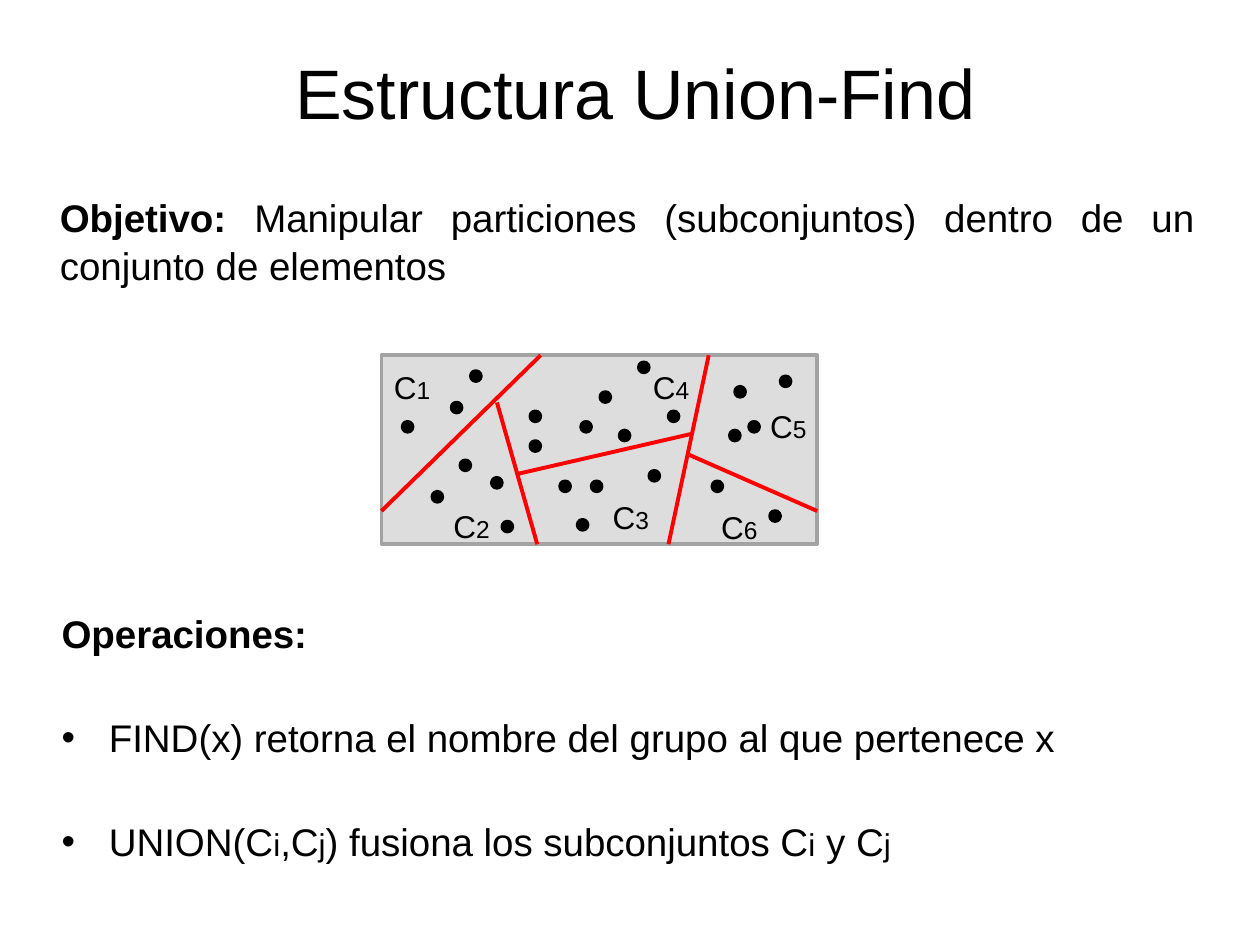
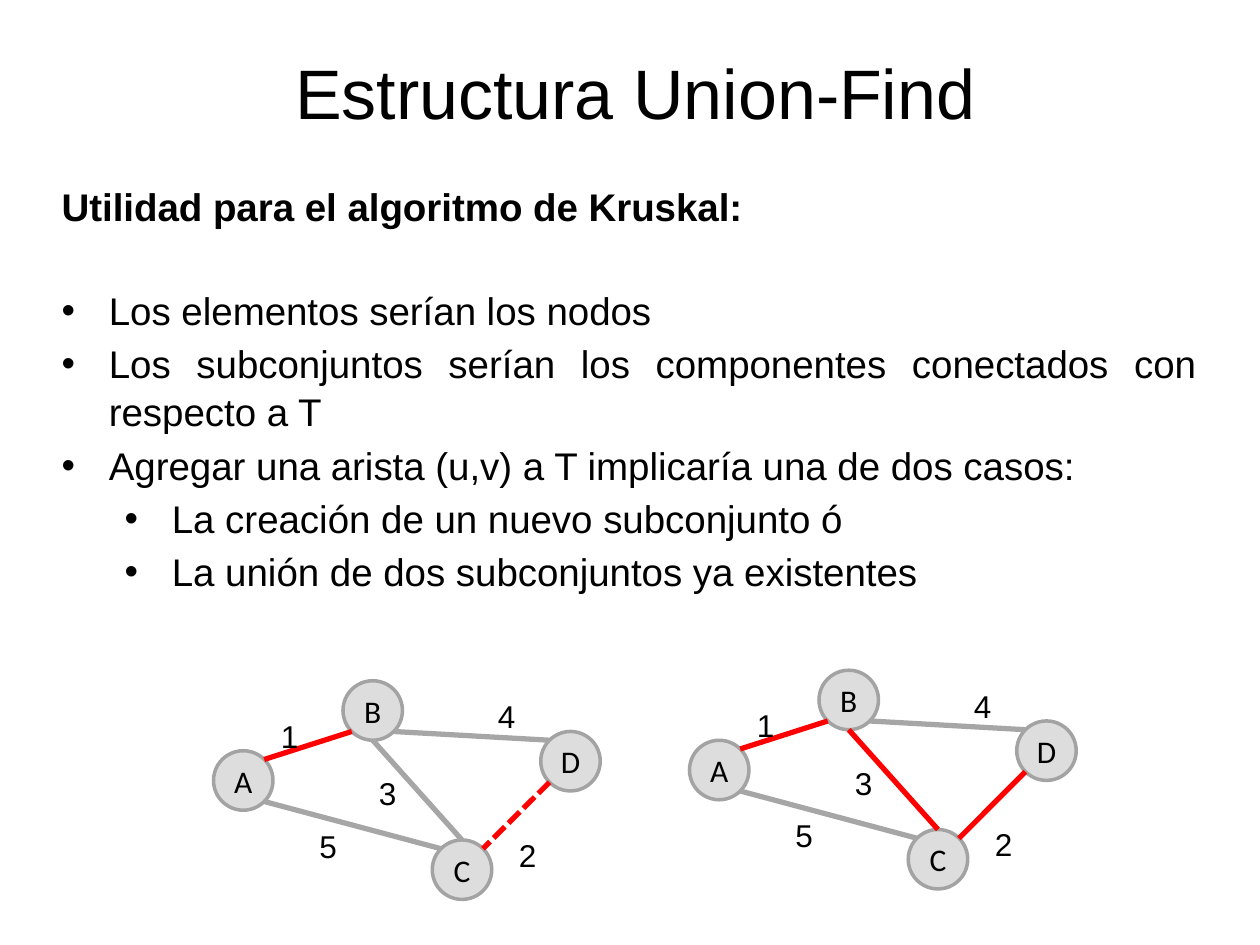
from dataclasses import dataclass

from lxml import etree
from pptx import Presentation
from pptx import util as u
from pptx.dml import color
from pptx.enum import dml, shapes, text
from pptx.oxml import ns


def rgb(value):
    """Return a colour from its hexadecimal value."""
    return color.RGBColor.from_string(value)


@dataclass(frozen=True)
class Theme:
    """Colours, fonts and sizes (points) shared by the slides."""
    ink = rgb("000000")
    panel = rgb("DDDDDD")
    border = rgb("A3A3A3")
    edge = rgb("A6A6A6")
    accent = rgb("FF0000")
    font = "Arial"
    node_font = "Calibri"
    title = 40
    body = 22
    body_index = 18
    label = 18
    label_index = 14
    outline = 2
    divider = 2.25
    edge_width = 3
    indent = 27
    level_step = 36
    line_spacing = 1.04
    gap = 3
    wide_gap = 32


THEME = Theme()
TITLE = "Estructura Union-Find"
TITLE_BOX = (37, 20, 652, 60)

# Each subset: label position, then the positions of its elements.
SUBSETS = {
    "1": ((0, 4), [(51, 9), (12, 38), (40, 27)]),
    "2": ((34, 83), [(45, 60), (63, 70), (29, 78), (69, 95)]),
    "3": ((125, 78), [(120, 72), (102, 72), (153, 66), (112, 94)]),
    "4": ((148, 4), [(125, 21), (85, 49), (114, 38), (85, 32), (147, 4),
                     (136, 43), (164, 32)]),
    "5": ((215, 26), [(199, 43), (202, 18), (210, 38), (228, 12)]),
    "6": ((187, 84), [(189, 72), (222, 89)]),
}
DIVIDERS = [((91, 0), (0, 89)), ((66, 27), (89, 108)), ((177, 45), (77, 68)),
            ((187, 0), (164, 108)), ((176, 57), (249, 89))]
DOT = 5.8

NODE = 34
NODES = {"A": (0, 40), "B": (74, 0), "C": (125, 91), "D": (187, 29)}
# Offset of each port from the top left corner of a node.
PORTS = {"N": (17, 0), "S": (17, 34), "NW": (5, 5), "NE": (29, 5),
         "SW": (5, 29), "SE": (29, 29)}
# Each edge by weight: its two ends (node, port) and its label position.
EDGES = {
    "1": (("A", "NE"), ("B", "SW"), (30, 17)),
    "2": (("D", "SW"), ("C", "NE"), (166, 85)),
    "3": (("B", "S"), ("C", "N"), (86, 50)),
    "4": (("B", "SE"), ("D", "NW"), (154, 6)),
    "5": (("C", "NW"), ("A", "SE"), (52, 80)),
}


def apply(target, formats):
    """Set each named attribute of the target."""
    for name, value in formats.items():
        setattr(target, name, value)


def points(*values):
    """Convert numbers of points to lengths."""
    return [u.Pt(value) for value in values]


def shift(origin, offset):
    """Add an offset to an origin."""
    return origin[0] + offset[0], origin[1] + offset[1]


def add_span(para, words, size, bold=False, font=THEME.font):
    """Add one formatted run to a paragraph."""
    span = para.add_run()
    span.text = words
    apply(span.font, {"name": font, "size": u.Pt(size), "bold": bold})
    span.font.color.rgb = THEME.ink


def add_label(parent, place, size, spans, align=text.PP_ALIGN.LEFT):
    """Add a small text box made of (words, size) spans."""
    box = parent.add_textbox(*points(*place, *size))
    box.text_frame.word_wrap = True
    para = box.text_frame.paragraphs[0]
    para.alignment = align
    for words, span_size in spans:
        add_span(para, words, span_size)


def add_figure(parent, kind, place, size, fill, line):
    """Add a filled preset shape with an outline."""
    figure = parent.add_shape(kind, *points(*place, *size))
    figure.shadow.inherit = False
    figure.fill.solid()
    figure.fill.fore_color.rgb = fill
    figure.line.color.rgb = line
    figure.line.width = u.Pt(THEME.outline)
    return figure


def add_line(parent, start, end, line, width, dash=None):
    """Add a straight line between two points."""
    connector = parent.add_connector(shapes.MSO_CONNECTOR.STRAIGHT,
                                     *points(*start, *end))
    connector.line.color.rgb = line
    connector.line.width = u.Pt(width)
    if dash:
        connector.line.dash_style = dash
    etree.SubElement(connector._element.spPr, ns.qn("a:effectLst"))


def place_frame(holder, box, anchor):
    """Move a placeholder to a box and return its text frame."""
    apply(holder, dict(zip(("left", "top", "width", "height"), points(*box))))
    frame = holder.text_frame
    apply(frame, {"word_wrap": True, "auto_size": text.MSO_AUTO_SIZE.NONE,
                  "vertical_anchor": anchor})
    return frame


def set_title(page, box):
    """Fill the title placeholder."""
    frame = place_frame(page.shapes.title, box, text.MSO_ANCHOR.BOTTOM)
    para = frame.paragraphs[0]
    para.alignment = text.PP_ALIGN.CENTER
    add_span(para, TITLE, THEME.title)


def set_bullet(para, level):
    """Give a paragraph a bullet at a level, or none when level is None."""
    properties = para._p.get_or_add_pPr()
    if level is None:
        properties.set("marL", "0")
        properties.set("indent", "0")
        etree.SubElement(properties, ns.qn("a:buNone"))
        return
    para.level = level
    margin = THEME.indent + level * THEME.level_step
    properties.set("marL", str(u.Pt(margin)))
    properties.set("indent", str(-u.Pt(THEME.indent)))
    etree.SubElement(properties, ns.qn("a:buFont")).set("typeface", "Arial")
    etree.SubElement(properties, ns.qn("a:buChar")).set("char", "•")


def heading(words, rest="", gap=THEME.gap):
    """Describe a paragraph that opens in bold."""
    spans = [(words, THEME.body, True)]
    if rest:
        spans.append((rest, THEME.body, False))
    return None, gap, spans


def bullet(*parts, level=0, gap=THEME.gap):
    """Describe a bullet whose every second part is a small index."""
    sizes = (THEME.body, THEME.body_index)
    return level, gap, [(part, sizes[i % 2], False)
                        for i, part in enumerate(parts)]


def set_body(holder, box, entries):
    """Fill a body placeholder with described paragraphs."""
    frame = place_frame(holder, box, text.MSO_ANCHOR.TOP)
    for i, (level, gap, spans) in enumerate(entries):
        para = frame.add_paragraph() if i else frame.paragraphs[0]
        apply(para, {"alignment": text.PP_ALIGN.JUSTIFY,
                     "line_spacing": THEME.line_spacing,
                     "space_before": u.Pt(0), "space_after": u.Pt(gap)})
        set_bullet(para, level)
        for span in spans:
            add_span(para, *span)


def draw_partition(page, box):
    """Draw the set, its dividing lines, subset labels and elements."""
    origin, size = box[:2], box[2:]
    add_figure(page.shapes, shapes.MSO_SHAPE.RECTANGLE, origin, size,
               THEME.panel, THEME.border)
    for start, end in DIVIDERS:
        add_line(page.shapes, shift(origin, start), shift(origin, end),
                 THEME.accent, THEME.divider)
    for index, (place, dots) in SUBSETS.items():
        add_label(page.shapes, shift(origin, place), (40, 29),
                  [("C", THEME.label), (index, THEME.label_index)])
        for dot in dots:
            add_figure(page.shapes, shapes.MSO_SHAPE.OVAL, shift(origin, dot),
                       (DOT, DOT), THEME.ink, THEME.ink)


def draw_graph(page, origin, chosen, dashed=()):
    """Draw the weighted graph as a group, with the chosen edges marked."""
    parts = page.shapes.add_group_shape().shapes
    for name, place in NODES.items():
        node = add_figure(parts, shapes.MSO_SHAPE.OVAL, shift(origin, place),
                          (NODE, NODE), THEME.panel, THEME.border)
        sides = ("left", "right", "top", "bottom")
        apply(node.text_frame, {f"margin_{side}": 0 for side in sides})
        node.text_frame.vertical_anchor = text.MSO_ANCHOR.MIDDLE
        para = node.text_frame.paragraphs[0]
        para.alignment = text.PP_ALIGN.CENTER
        add_span(para, name, THEME.label, font=THEME.node_font)
    for weight, (*ends, place) in EDGES.items():
        start, end = [shift(origin, shift(NODES[name], PORTS[port]))
                      for name, port in ends]
        add_line(parts, start, end,
                 THEME.accent if weight in chosen else THEME.edge,
                 THEME.edge_width,
                 dml.MSO_LINE.SQUARE_DOT if weight in dashed else None)
        add_label(parts, shift(origin, place), (27, 29),
                  [(weight, THEME.label)], text.PP_ALIGN.CENTER)


def build_definition(deck):
    """Build the slide on the goal and the operations."""
    page = deck.slides.add_slide(deck.slide_layouts.get_by_name("Two Content"))
    set_title(page, TITLE_BOX)
    set_body(page.placeholders[1], (27, 106, 663, 62), [
        heading("Objetivo:", " Manipular particiones (subconjuntos) dentro "
                "de un conjunto de elementos")])
    set_body(page.placeholders[2], (28, 344, 663, 156), [
        heading("Operaciones:", gap=THEME.wide_gap),
        bullet("FIND(x) retorna el nombre del grupo al que pertenece x",
               gap=THEME.wide_gap),
        bullet("UNION(C", "i", ",C", "j", ") fusiona los subconjuntos C",
               "i", " y C", "j")])
    draw_partition(page, (218, 203, 249, 108))


def build_kruskal(deck):
    """Build the slide on the use in Kruskal's algorithm."""
    page = deck.slides.add_slide(
        deck.slide_layouts.get_by_name("Title and Content"))
    set_title(page, TITLE_BOX)
    set_body(page.placeholders[1], (28, 100, 663, 266), [
        heading("Utilidad para el algoritmo de Kruskal:", gap=THEME.wide_gap),
        bullet("Los elementos serían los nodos"),
        bullet("Los subconjuntos serían los componentes conectados con "
               "respecto a T"),
        bullet("Agregar una arista (u,v) a T implicaría una de dos casos:"),
        bullet("La creación de un nuevo subconjunto ó", level=1),
        bullet("La unión de dos subconjuntos ya existentes", level=1)])
    draw_graph(page, (122, 389), chosen="12", dashed="2")
    draw_graph(page, (394, 383), chosen="123")


def main():
    """Build and save the deck."""
    deck = Presentation()
    apply(deck, {"slide_width": u.Pt(720), "slide_height": u.Pt(540)})
    build_definition(deck)
    build_kruskal(deck)
    deck.save("out.pptx")


main()
